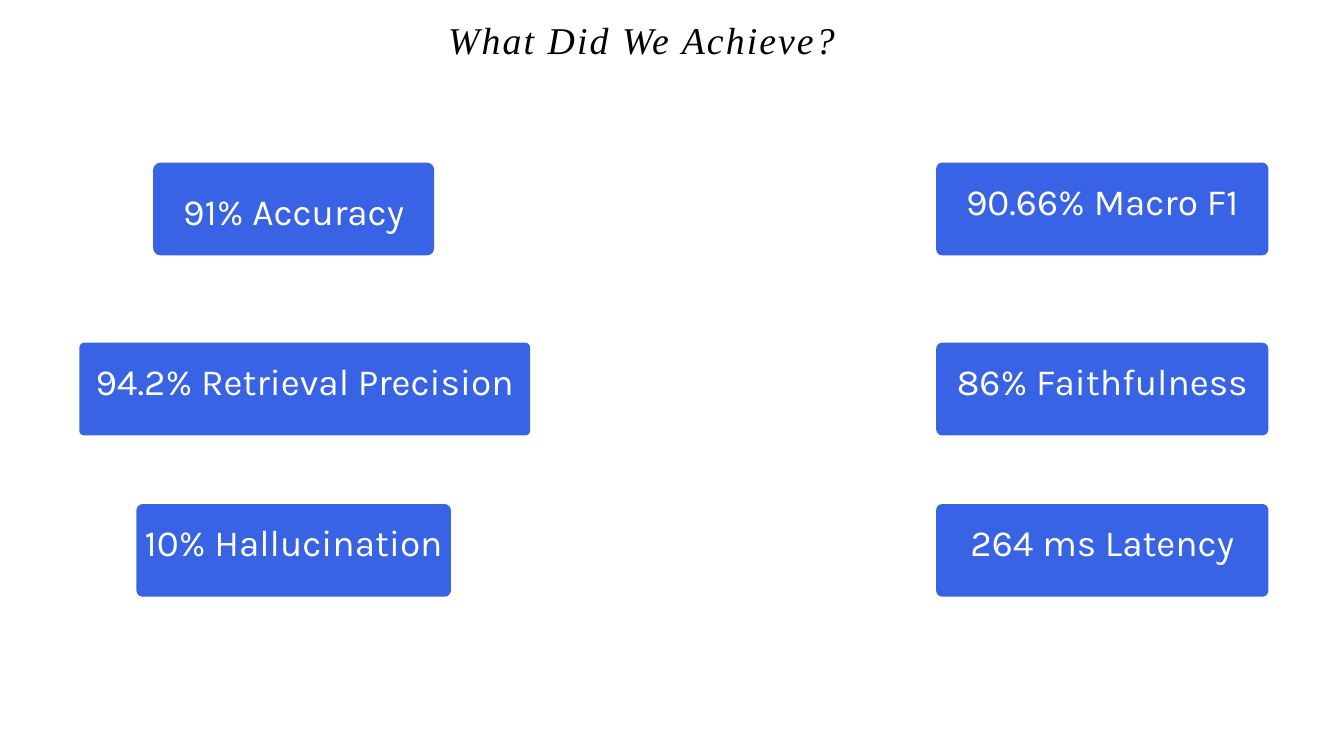
from pptx import Presentation
from pptx.dml.color import RGBColor
from pptx.enum.shapes import MSO_SHAPE
from pptx.enum.text import MSO_ANCHOR, PP_ALIGN
from pptx.util import Pt

BLUE = RGBColor(0x38, 0x63, 0xE4)
WHITE = RGBColor(0xFF, 0xFF, 0xFF)
BLACK = RGBColor(0x00, 0x00, 0x00)

CARD_HEIGHT = 99.36
LABEL_RISE = 26.64  # the label frame starts this far above its card
ROW_TOPS = (174.24, 367.2, 540)
RIGHT_COLUMN = (1003, 356)  # left, width

# text, left, width, corner radius; one row of two cards per line
CARD_ROWS = (
    (("91% Accuracy", 164.16, 301, 7.5), ("90.66% Macro F1", *RIGHT_COLUMN, 6.5)),
    (("94.2% Retrieval Precision", 85, 483, 5), ("86% Faithfulness", *RIGHT_COLUMN, 6.5)),
    (("10% Hallucination", 146.16, 337, 6.7), ("264 ms Latency", *RIGHT_COLUMN, 6.5)),
)


def add_text(slide, text, box, size, font_name, color, alignment, line_spacing,
             inset=0, anchor=MSO_ANCHOR.TOP):
    """Place one line of text in box and return its run."""
    text_box = slide.shapes.add_textbox(*(Pt(length) for length in box))
    frame = text_box.text_frame
    frame.word_wrap = True
    frame.vertical_anchor = anchor
    frame.margin_left = frame.margin_right = Pt(inset)
    frame.margin_top = frame.margin_bottom = Pt(inset)
    frame.text = text
    paragraph = frame.paragraphs[0]
    paragraph.alignment = alignment
    paragraph.line_spacing = Pt(line_spacing)
    run = paragraph.runs[0]
    run.font.size = Pt(size)
    run.font.name = font_name
    run.font.color.rgb = color
    return run


def add_title(slide, box):
    run = add_text(slide, "What Did We Achieve?", box, 40.5, "Times New Roman",
                   BLACK, PP_ALIGN.JUSTIFY, 47.4)
    run.font.italic = True
    run.font._element.set("spc", "220")  # letter spacing


def add_card(slide, box, radius):
    card = slide.shapes.add_shape(MSO_SHAPE.ROUNDED_RECTANGLE,
                                  *(Pt(length) for length in box))
    card.adjustments[0] = radius / box[3]
    card.shadow.inherit = False
    card.fill.solid()
    card.fill.fore_color.rgb = BLUE
    card.line.fill.background()


def add_label(slide, text, box, inset, anchor):
    add_text(slide, text, box, 39.6, "Karla", WHITE, PP_ALIGN.CENTER, 55.4,
             inset, anchor)


def add_metric(slide, text, box, radius, is_first):
    left, top, width, height = box
    add_card(slide, box, radius)
    if is_first:
        # The accuracy label sits lower, in a frame wider than its card
        label_box = (left - 33.5, top + 20.16, width + 67, 53.28)
        add_label(slide, text, label_box, 0, MSO_ANCHOR.TOP)
    else:
        label_box = (left, top - LABEL_RISE, width, height + LABEL_RISE)
        add_label(slide, text, label_box, 4, MSO_ANCHOR.MIDDLE)


def main():
    presentation = Presentation()
    presentation.slide_width = Pt(1440)
    presentation.slide_height = Pt(810)
    slide = presentation.slides.add_slide(presentation.slide_layouts[6])
    slide.background.fill.solid()
    slide.background.fill.fore_color.rgb = WHITE

    # Title
    add_title(slide, (480.24, 19.44, 479.52, 47.52))

    # Metric cards, two columns by three rows
    for row, (top, cards) in enumerate(zip(ROW_TOPS, CARD_ROWS)):
        for column, (text, left, width, radius) in enumerate(cards):
            add_metric(slide, text, (left, top, width, CARD_HEIGHT), radius,
                       is_first=row == column == 0)

    presentation.save("out.pptx")


if __name__ == "__main__":
    main()
